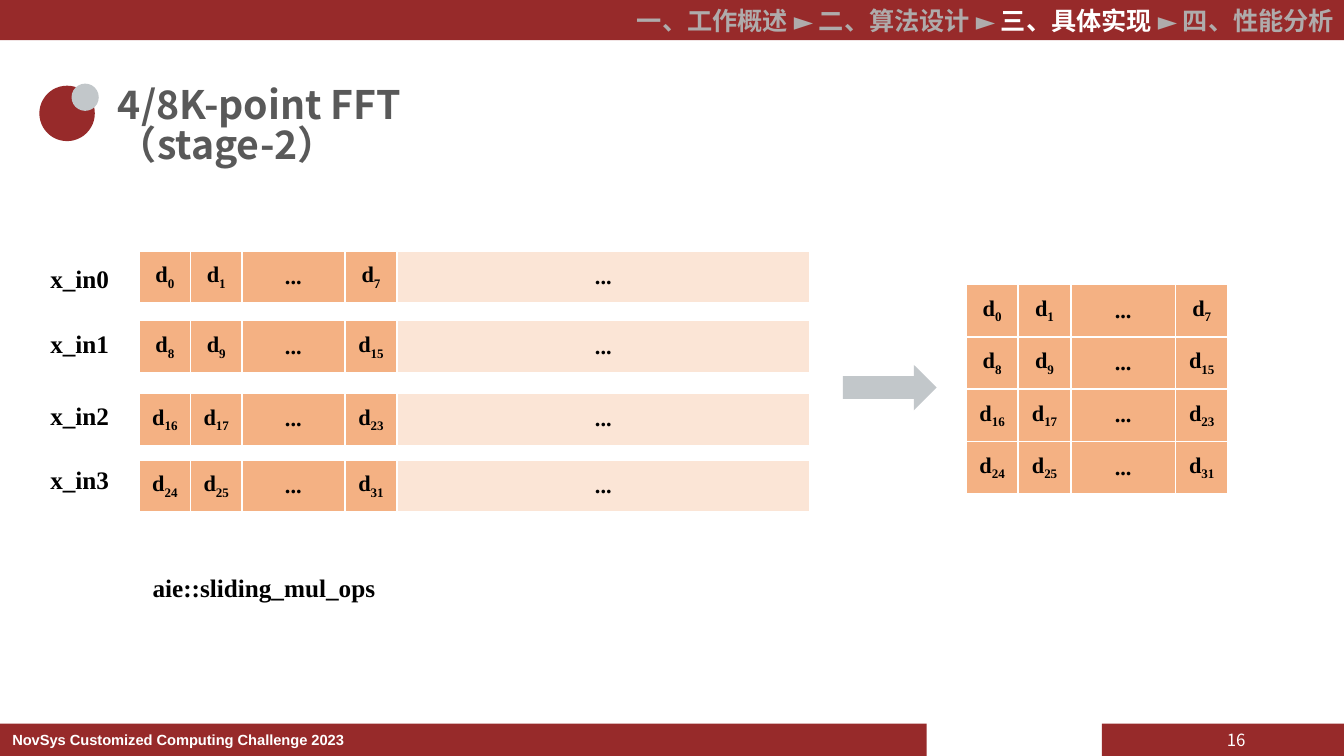
from lxml import etree
from pptx import Presentation
from pptx import util as u
from pptx.dml import color
from pptx.enum import shapes, text
from pptx.oxml import ns

RED, GREY, DIM, WHITE = "972A2A", "C2C7CA", "AFABAB", "FFFFFF"
DEEP, PALE = "F4B183", "FBE5D6"
SANS, SERIF = "Noto Sans CJK SC", "Times New Roman"
LEFT, MID, RIGHT = text.PP_ALIGN.LEFT, text.PP_ALIGN.CENTER, text.PP_ALIGN.RIGHT
TOP, CENTER = text.MSO_ANCHOR.TOP, text.MSO_ANCHOR.MIDDLE
CODE = dict(size=u.Pt(18), name=SERIF, bold=True, tint="000000")
CELL = dict(CODE, size=u.Pt(16))


def rgb(tint):
    return color.RGBColor.from_string(tint)


def style(run, look):
    """Apply font values; the typeface covers East Asian letters too."""
    for key, value in look.items():
        if key == "tint":
            run.font.color.rgb = rgb(value)
        else:
            setattr(run.font, key, value)
    face = etree.SubElement(run.font._element, ns.qn("a:ea"))
    face.set("typeface", look["name"])


def write(frame, runs, align=LEFT, anchor=TOP):
    """Fill the first paragraph with (words, look) pairs."""
    frame.word_wrap, frame.vertical_anchor = True, anchor
    para = frame.paragraphs[0]
    para.alignment = align
    for words, look in runs:
        run = para.add_run()
        run.text = words
        style(run, look)


def label(slide, box, runs, **place):
    frame = slide.shapes.add_textbox(*map(u.Inches, box)).text_frame
    write(frame, runs, **place)


def solid(slide, kind, box, tint):
    shape = slide.shapes.add_shape(kind, *map(u.Inches, box))
    shape.shadow.inherit = False
    shape.fill.solid()
    shape.fill.fore_color.rgb = rgb(tint)
    shape.line.fill.background()


def header(slide, x, y, w, h):
    solid(slide, shapes.MSO_SHAPE.RECTANGLE, (x, y, w, h), RED)
    look = dict(size=u.Pt(18), name=SANS, bold=True, tint=DIM)
    runs = [("一、工作概述 ► 二、算法设计 ► ", look),
            ("三、具体实现 ", dict(look, tint=WHITE)),
            ("► 四、性能分析", look)]
    label(slide, (x + 4.91, y, w - 4.91, h), runs, align=RIGHT)


def footer(slide, x, y, w, h):
    for left, wide in ((x, 9.19), (x + w - 2.4, 2.4)):
        solid(slide, shapes.MSO_SHAPE.RECTANGLE, (left, y, wide, h), RED)
    look = dict(size=u.Pt(10.5), name="Arial", bold=True, tint=WHITE)
    label(slide, (x, y + 0.02, 3.54, 0.28),
          [("NovSys Customized Computing Challenge 2023", look)], align=MID)
    look = dict(size=u.Pt(12), name=SANS, tint=WHITE)
    label(slide, (x + 11.82, y - 0.04, 0.88, 0.4), [("16", look)],
          align=MID, anchor=CENTER)


def heading(slide, x, y, w, h):
    for dx, dy, side, tint in ((0, 0.02, 0.55, RED), (0.32, 0, 0.27, GREY)):
        solid(slide, shapes.MSO_SHAPE.OVAL, (x + dx, y + dy, side, side), tint)
    title = slide.shapes.title
    box = dict(left=x + 0.68, top=y, width=w - 0.68, height=h)
    for key, value in box.items():
        setattr(title, key, u.Inches(value))
    frame = title.text_frame
    frame.auto_size = text.MSO_AUTO_SIZE.NONE
    write(frame, [])
    para = frame.paragraphs[0]
    para.text = "4/8K-point FFT\v（stage-2）"
    para.line_spacing = 0.83
    for run in para.runs:
        style(run, dict(size=u.Pt(28), name=SANS, bold=True, tint="595959"))


def edge(cell):
    """Draw white borders on all four sides."""
    props = cell._tc.get_or_add_tcPr()
    for spot, side in enumerate(("lnL", "lnR", "lnT", "lnB")):
        line = etree.Element(ns.qn("a:" + side), w=str(u.Pt(1.5)))
        fill = etree.SubElement(line, ns.qn("a:solidFill"))
        etree.SubElement(fill, ns.qn("a:srgbClr"), val=WHITE)
        props.insert(spot, line)


def fill_cell(cell, mark, tint):
    """Show d with a subscript, or dots where mark is None."""
    pads = dict(margin_left=0.12, margin_right=0.12,
                margin_top=0.06, margin_bottom=0.06)
    for key, value in pads.items():
        setattr(cell, key, u.Inches(value))
    cell.vertical_anchor = CENTER
    cell.fill.solid()
    cell.fill.fore_color.rgb = rgb(tint)
    edge(cell)
    para = cell.text_frame.paragraphs[0]
    para.alignment = MID
    for words in ("...",) if mark is None else ("d", str(mark)):
        run = para.add_run()
        run.text = words
        style(run, CELL)
        if words.isdigit():
            run.font._element.set("baseline", "-25000")


def grid(slide, x, y, cols, lanes, side=0.52):
    """Place one table row of eight samples for each lane."""
    size = map(u.Inches, (x, y, sum(cols), side * len(lanes)))
    table = slide.shapes.add_table(len(lanes), len(cols), *size).table
    table.first_row = table.horz_banding = False
    for col, wide in zip(table.columns, cols):
        col.width = u.Inches(wide)
    for row, lane in zip(table.rows, lanes):
        row.height = u.Inches(side)
        first = 8 * lane
        marks = (first, first + 1, None, first + 7, None)
        for spot, cell in enumerate(row.cells):
            fill_cell(cell, marks[spot], PALE if spot == 4 else DEEP)


def inputs(slide, x, y):
    tops = ((0, 0.07), (0.69, 0.72), (1.41, 1.43), (2.07, 2.07))
    for lane, (bar, name) in enumerate(tops):
        grid(slide, x + 0.98, y + bar, (0.51, 0.51, 1.02, 0.52, 4.09), [lane])
        label(slide, (x, y + name, 1.08, 0.4), [(f"x_in{lane}", CODE)])
    label(slide, (x + 0.54, y + 3.14, 2.88, 0.4),
          [("aie::sliding_mul_ops", CODE)], align=RIGHT)


def result(slide, x, y):
    solid(slide, shapes.MSO_SHAPE.RIGHT_ARROW, (x, y + 0.8, 0.93, 0.45), GREY)
    grid(slide, x + 1.22, y, (0.52, 0.52, 1.04, 0.52), range(4))


def main():
    deck = Presentation()
    deck.slide_width, deck.slide_height = u.Inches(13.33), u.Inches(7.5)
    slide = deck.slides.add_slide(deck.slide_layouts[5])
    header(slide, 0, 0, 13.33, 0.4)
    footer(slide, 0, 7.18, 13.33, 0.32)
    heading(slide, 0.39, 0.83, 6.13, 0.57)
    inputs(slide, 0.4, 2.49)
    result(slide, 8.36, 2.82)
    deck.save("out.pptx")


if __name__ == "__main__":
    main()
